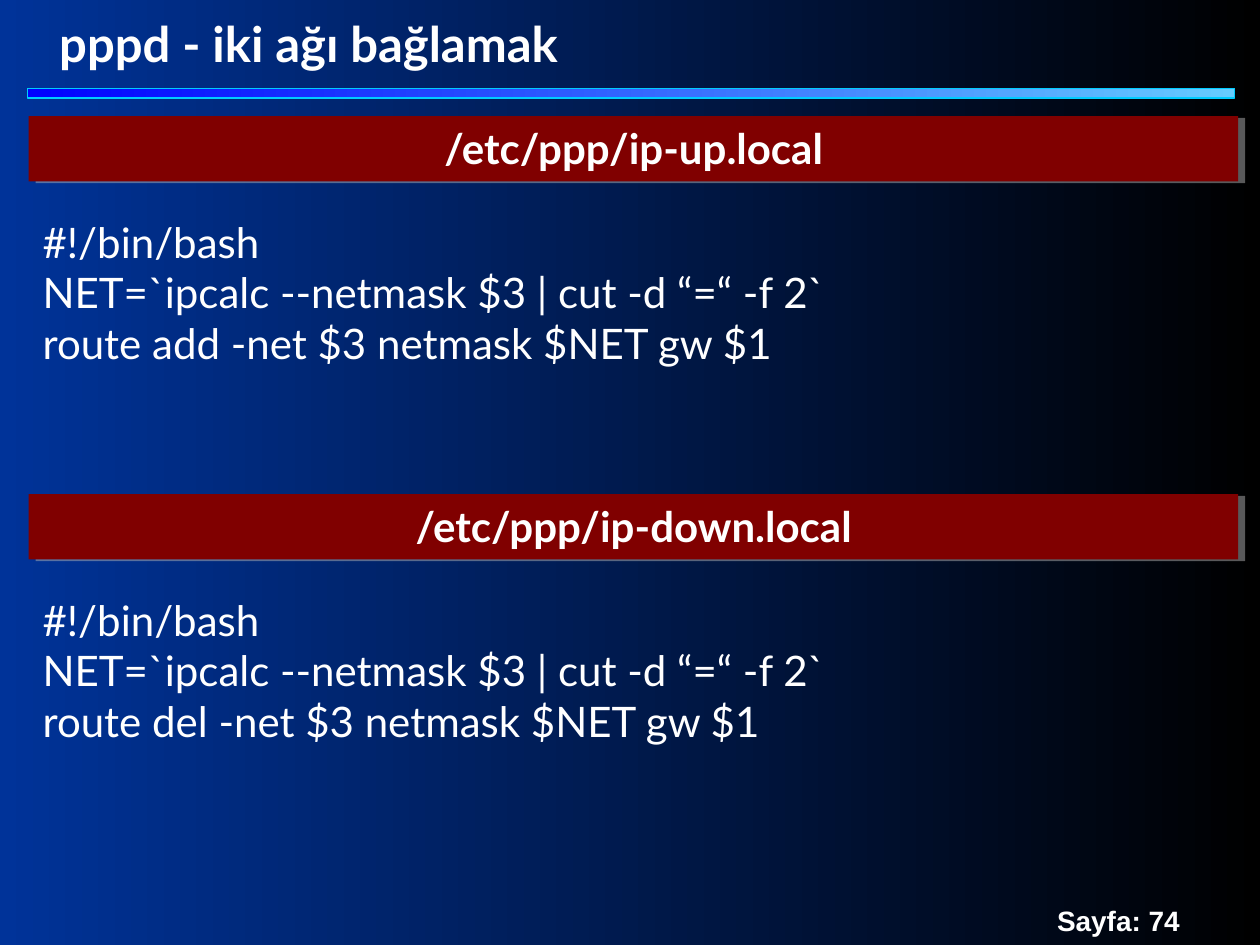
from pptx import Presentation
from pptx.dml.color import RGBColor
from pptx.enum.shapes import MSO_SHAPE as Preset
from pptx.enum.text import MSO_ANCHOR as Anchor, PP_ALIGN as Align
from pptx.oxml import parse_xml
from pptx.oxml.ns import nsdecls
from pptx.util import Cm, Pt

COLORS = {
    "text": "FFFFFF",
    "night": "000000",
    "navy": "003399",
    "rule_light": "66CCFF",
    "rule_dark": "0000FF",
    "rule_edge": "00CCFF",
    "banner": "800000",
    "shadow": "B2B2B2",
}
SCRIPT_PITCH = 7.62
SCRIPTS = [("/etc/ppp/ip-up.local", "add"), ("/etc/ppp/ip-down.local", "del")]


def rgb(name):
    return RGBColor.from_string(COLORS[name])


def fill_gradient(fill, start, end):
    fill.gradient()
    fill.gradient_angle = 180
    for stop, name in zip(fill.gradient_stops, (start, end)):
        stop.color.rgb = rgb(name)


def write_lines(frame, lines, size, font="Lato", bold=False, align=Align.LEFT):
    frame.word_wrap = True
    frame.vertical_anchor = Anchor.TOP
    frame.text = "\n".join(lines)
    for paragraph in frame.paragraphs:
        paragraph.alignment = align
        paragraph.font.name = font
        paragraph.font.size = Pt(size)
        paragraph.font.bold = bold
        paragraph.font.color.rgb = rgb("text")


def add_text(slide, left, top, width, height, lines, size, **style):
    box = slide.shapes.add_textbox(Cm(left), Cm(top), Cm(width), Cm(height))
    write_lines(box.text_frame, lines, size, **style)


def add_bar(slide, left, top, width, height):
    bar = slide.shapes.add_shape(
        Preset.RECTANGLE, Cm(left), Cm(top), Cm(width), Cm(height))
    bar.shadow.inherit = False
    return bar


def add_title(slide, text):
    title = slide.shapes.title
    title.left, title.top = Cm(0.94), Cm(0.15)
    title.width, title.height = Cm(11.99), Cm(1.45)
    write_lines(title.text_frame, [text], 28, bold=True)


def add_rule(slide):
    rule = add_bar(slide, 0.56, 1.78, 24.33, 0.2)
    fill_gradient(rule.fill, "rule_light", "rule_dark")
    rule.line.color.rgb = rgb("rule_edge")
    rule.line.width = Pt(0.75)


def add_banner(slide, top, heading):
    banner = add_bar(slide, 0.58, top, 24.38, 1.32)
    banner.fill.solid()
    banner.fill.fore_color.rgb = rgb("banner")
    banner.line.fill.background()
    effects = banner._element.spPr.find(
        "{http://schemas.openxmlformats.org/drawingml/2006/main}effectLst")
    effects.append(parse_xml(
        f'<a:outerShdw {nsdecls("a")} blurRad="0" dist="{Pt(4.1)}" '
        f'dir="{14 * 60000}" algn="ctr" rotWithShape="0">'
        f'<a:srgbClr val="{COLORS["shadow"]}"><a:alpha val="50000"/></a:srgbClr>'
        '</a:outerShdw>'))
    add_text(slide, 3.25, top, 19.05, 1.27, [heading], 24,
             bold=True, align=Align.CENTER)


def add_script(slide, top, file_name, action):
    add_banner(slide, top, file_name)
    code = [
        "#!/bin/bash",
        "NET=`ipcalc --netmask $3 | cut -d “=“ -f 2`",
        f"route {action} -net $3 netmask $NET gw $1",
    ]
    add_text(slide, 0.61, top + 1.9, 24.33, 3.3, code, 24)


def main():
    deck = Presentation()
    deck.slide_width, deck.slide_height = Cm(25.4), Cm(19.05)
    slide = deck.slides.add_slide(deck.slide_layouts.get_by_name("Title Only"))
    fill_gradient(slide.background.fill, "night", "navy")
    add_text(slide, 21.06, 18.08, 5.08, 0.94, ["Sayfa: 74"], 16,
             font="Arial", bold=True)
    add_rule(slide)
    add_title(slide, "pppd - iki ağı bağlamak")
    for index, (file_name, action) in enumerate(SCRIPTS):
        add_script(slide, 2.34 + index * SCRIPT_PITCH, file_name, action)
    deck.save("out.pptx")


if __name__ == "__main__":
    main()
